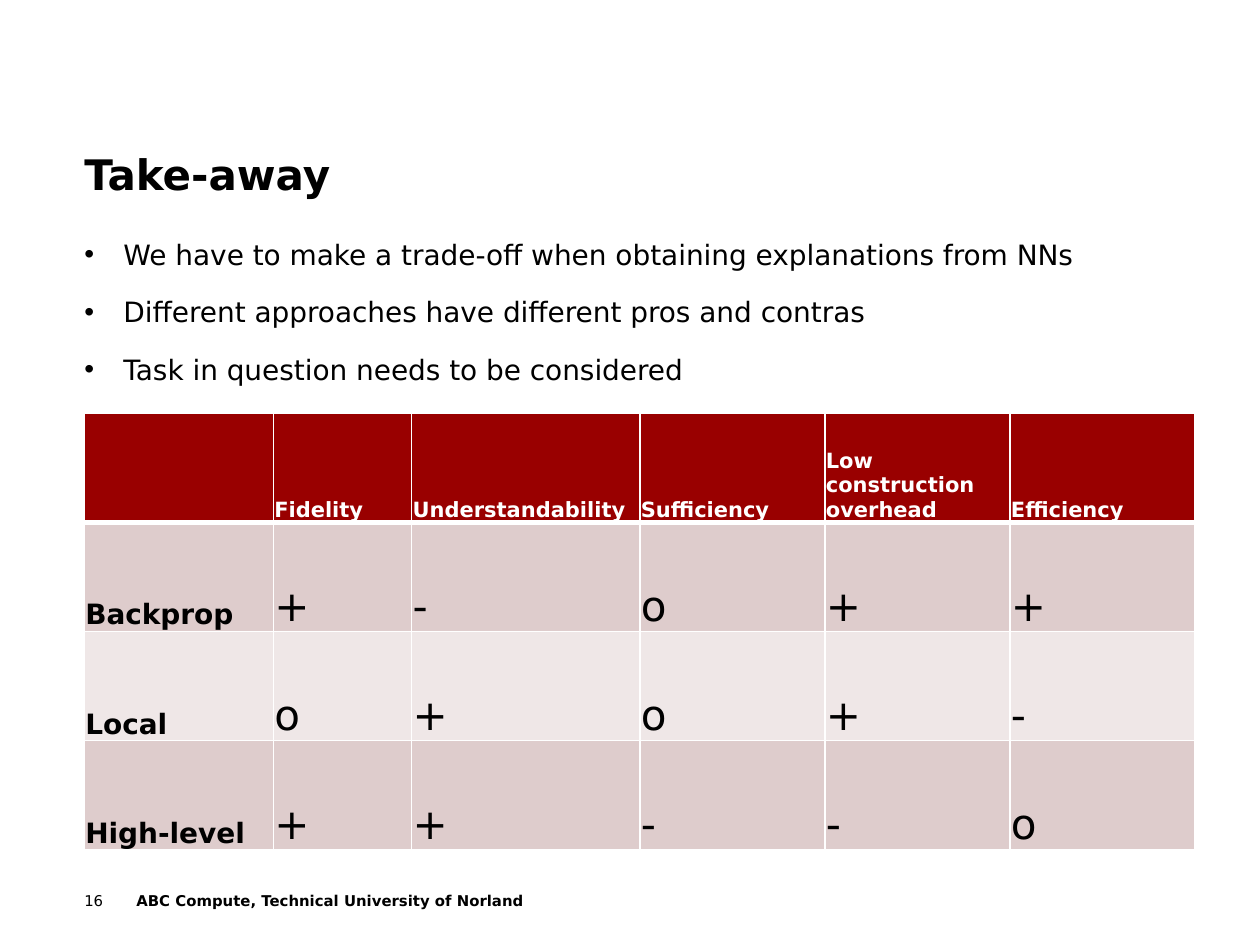
from lxml.etree import SubElement
from pptx import Presentation
from pptx.dml.color import RGBColor
from pptx.enum.text import MSO_ANCHOR
from pptx.oxml.ns import qn
from pptx.util import Cm, Pt

FONT = "DejaVu Sans"
COLORS = {
    "text": "000000",
    "white": "FFFFFF",
    "header": "990000",
    "band_dark": "DECCCC",
    "band_light": "EFE7E7",
}

BULLETS = [
    "We have to make a trade-off when obtaining explanations from NNs",
    "Different approaches have different pros and contras",
    "Task in question needs to be considered",
]
COL_WIDTHS = [3.81, 2.79, 4.6, 3.73, 3.73, 3.73]
ROW_HEIGHT = 2.2
RATINGS = [
    ["", "Fidelity", "Understandability", "Sufficiency",
     "Low construction overhead", "Efficiency"],
    ["Backprop", "+", "-", "o", "+", "+"],
    ["Local", "o", "+", "o", "+", "-"],
    ["High-level", "+", "+", "-", "-", "o"],
]


def add_run(p, text, size, bold=False, color="text"):
    r = p.add_run()
    r.text = text
    for name, value in {"name": FONT, "size": Pt(size), "bold": bold}.items():
        setattr(r.font, name, value)
    r.font.color.rgb = RGBColor.from_string(COLORS[color])


def add_text_frame(s, box, anchor=MSO_ANCHOR.TOP):
    tf = s.shapes.add_textbox(*map(Cm, box)).text_frame
    settings = {
        "word_wrap": True, "vertical_anchor": anchor,
        "margin_left": 0, "margin_right": 0,
        "margin_top": 0, "margin_bottom": 0,
    }
    for name, value in settings.items():
        setattr(tf, name, value)
    return tf


def add_title(s, box):
    tf = add_text_frame(s, box, MSO_ANCHOR.BOTTOM)
    add_run(tf.paragraphs[0], "Take-away", 24, bold=True)


def add_bullets(s, box):
    tf = add_text_frame(s, box)
    for i, text in enumerate(BULLETS):
        p = tf.add_paragraph() if i else tf.paragraphs[0]
        p.line_spacing = 1.5
        p.space_before = Pt(4)
        add_run(p, text, 16)
        # Hanging bullet
        pPr = p._p.get_or_add_pPr()
        pPr.set("marL", str(Cm(0.79)))
        pPr.set("indent", str(-Cm(0.79)))
        SubElement(pPr, qn("a:buFont"), typeface="Arial")
        SubElement(pPr, qn("a:buChar"), char="•")


def add_footer(s, box):
    left, top, width, height = box
    indent = 1.05
    number = add_text_frame(s, (left, top, 0.84, height))
    add_run(number.paragraphs[0], "16", 8.5)
    owner = add_text_frame(s, (left + indent, top, width - indent, height))
    add_run(owner.paragraphs[0],
            "ABC Compute, Technical University of Norland", 8.5, bold=True)


def set_borders(cell, widths):
    tcPr = cell._tc.get_or_add_tcPr()
    for side, width in widths.items():
        ln = SubElement(tcPr, qn(f"a:ln{side}"), w=str(Pt(width)))
        fill = SubElement(ln, qn("a:solidFill"))
        SubElement(fill, qn("a:srgbClr"), val=COLORS["white"])


def fill_cell(cell, text, row, col):
    # The rule under the header is thicker than the others
    set_borders(cell, {"L": 1, "R": 1, "T": 3 if row == 1 else 1,
                       "B": 3 if row == 0 else 1})
    if row == 0:
        band, size, color = "header", 12, "white"
    else:
        band = "band_dark" if row % 2 else "band_light"
        size, color = (24 if col else 16), "text"
    cell.fill.solid()
    cell.fill.fore_color.rgb = RGBColor.from_string(COLORS[band])
    settings = {
        "vertical_anchor": MSO_ANCHOR.BOTTOM,
        "margin_left": Cm(0.02), "margin_right": Cm(0.02),
        "margin_top": Cm(0.02), "margin_bottom": 0,
    }
    for name, value in settings.items():
        setattr(cell, name, value)
    if text:
        add_run(cell.text_frame.paragraphs[0], text, size,
                bold=row == 0 or col == 0, color=color)


def add_ratings(s, left, top):
    n_rows, n_cols = len(RATINGS), len(COL_WIDTHS)
    box = (left, top, sum(COL_WIDTHS), n_rows * ROW_HEIGHT)
    table = s.shapes.add_table(n_rows, n_cols, *map(Cm, box)).table
    for column, width in zip(table.columns, COL_WIDTHS):
        column.width = Cm(width)
    for i, values in enumerate(RATINGS):
        table.rows[i].height = Cm(ROW_HEIGHT)
        for j, text in enumerate(values):
            fill_cell(table.cell(i, j), text, i, j)


def main():
    prs = Presentation()
    prs.slide_width, prs.slide_height = Cm(25.4), Cm(19.05)
    s = prs.slides.add_slide(prs.slide_layouts[6])
    left, width = 1.7, 21.59
    add_title(s, (left, 0.85, width, 3.17))
    add_bullets(s, (left, 4.45, width, 12.67))
    add_footer(s, (left, 17.98, 12.8, 0.84))
    add_ratings(s, left, 8.33)
    prs.save("out.pptx")


if __name__ == "__main__":
    main()
